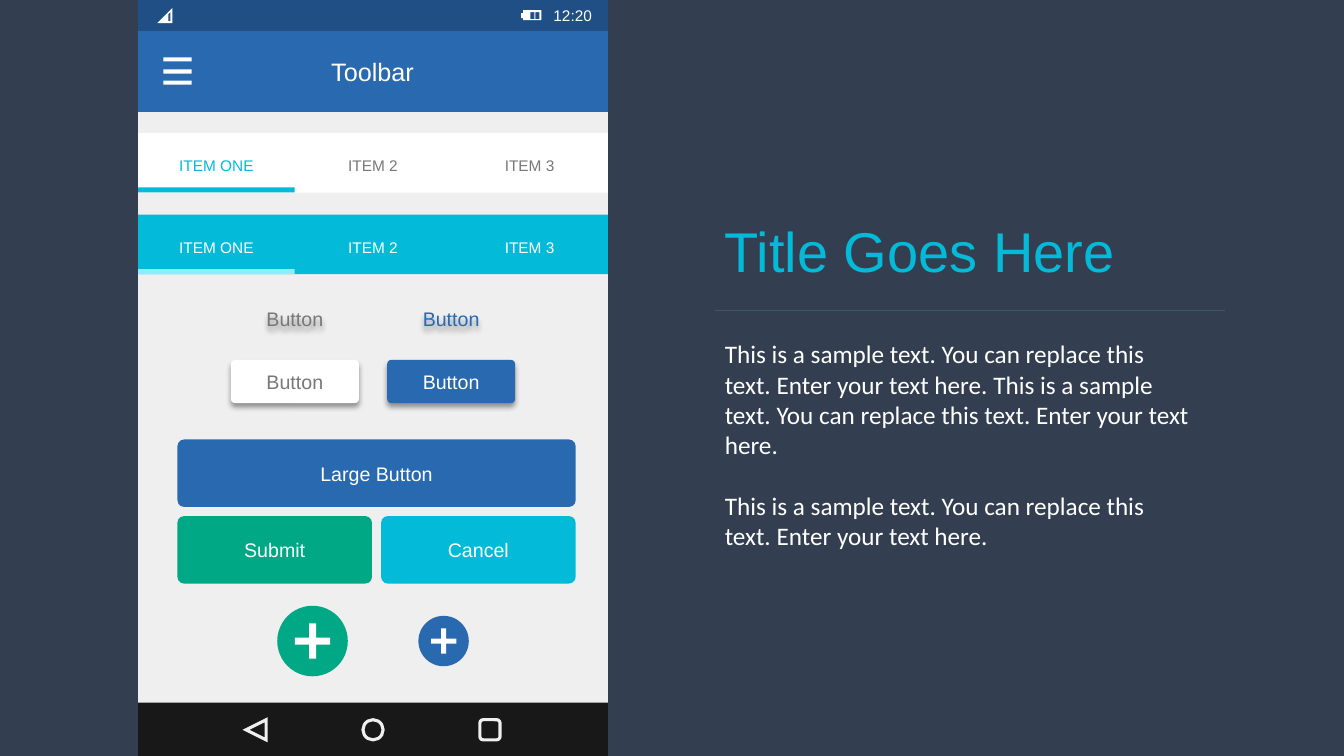
from lxml import etree
from pptx import Presentation
from pptx import util as u
from pptx.dml.color import RGBColor
from pptx.enum import shapes, text
from pptx.oxml.ns import qn

NAVY = RGBColor(0x33, 0x3F, 0x50)
RULE = RGBColor(0x44, 0x54, 0x6A)
LIGHT = RGBColor(0xEF, 0xEF, 0xEF)
WHITE = RGBColor(0xFF, 0xFF, 0xFF)
BLACK = RGBColor(0x18, 0x18, 0x18)
GRAY = RGBColor(0x78, 0x78, 0x78)
DARK_BLUE = RGBColor(0x1F, 0x4F, 0x84)
BLUE = RGBColor(0x29, 0x69, 0xB0)
CYAN = RGBColor(0x03, 0xBA, 0xD9)
PALE_CYAN = RGBColor(0x8D, 0xED, 0xFD)
GREEN = RGBColor(0x00, 0xA8, 0x85)

KIND = shapes.MSO_SHAPE
ALIGN = text.PP_ALIGN
PHONE_X, PHONE_W = 1.37, 4.66
TAB_W = PHONE_W / 3


def paint(sp, fill):
    """Give a shape a flat fill, or none, with no outline or shadow."""
    sp.shadow.inherit = False
    sp.line.fill.background()
    if fill is None:
        sp.fill.background()
    else:
        sp.fill.solid()
        sp.fill.fore_color.rgb = fill
    return sp


def add_block(s, kind, x, y, w, h, fill):
    """Add a flat preset shape."""
    box = [u.Inches(v) for v in (x, y, w, h)]
    return paint(s.shapes.add_shape(kind, *box), fill)


def add_bar(s, y, h, fill):
    """Add a band across the phone screen."""
    add_block(s, KIND.RECTANGLE, PHONE_X, y, PHONE_W, h, fill)


def add_outline(s, contours, fill):
    """Add a freeform made of closed contours, the inner ones being holes."""
    contours = [[(u.Inches(x), u.Inches(y)) for x, y in points] for points in contours]
    fb = s.shapes.build_freeform(*contours[0][0])
    for i, points in enumerate(contours):
        if i:
            fb.move_to(*points[0])
        fb.add_line_segments(points[1:], close=True)
    paint(fb.convert_to_shape(), fill)


def rectangle(x1, y1, x2, y2):
    """Return the corners of a rectangle."""
    return [(x1, y1), (x2, y1), (x2, y2), (x1, y2)]


def style_text(tf, size, color, align, font="Arial"):
    """Format every run of a text frame."""
    tf.word_wrap = True
    for p in tf.paragraphs:
        p.alignment = align
        for r in p.runs:
            r.font.size = u.Pt(size)
            r.font.name = font
            r.font.color.rgb = color


def add_text(s, words, x, y, w, h, size, color, align=ALIGN.LEFT, font="Arial"):
    """Add a text box and return its frame."""
    tf = s.shapes.add_textbox(*[u.Inches(v) for v in (x, y, w, h)]).text_frame
    tf.text = words
    style_text(tf, size, color, align, font)
    return tf


def add_drop_shadow(sp):
    """Cast a soft shadow straight down."""
    effects = sp._element.spPr.find(qn("a:effectLst"))
    shadow = etree.SubElement(effects, qn("a:outerShdw"), blurRad=str(u.Pt(4)),
                              dist=str(u.Pt(3)), dir="5400000", algn="t", rotWithShape="0")
    color = etree.SubElement(shadow, qn("a:srgbClr"), val="000000")
    etree.SubElement(color, qn("a:alpha"), val="40000")


def add_button(s, label, x, y, w, h, fill, color, raised=False):
    """Add a rounded button with a centred label."""
    sp = add_block(s, KIND.ROUNDED_RECTANGLE, x, y, w, h, fill)
    sp.adjustments[0] = 0.1
    tf = sp.text_frame
    tf.text = label
    tf.vertical_anchor = text.MSO_ANCHOR.MIDDLE
    style_text(tf, 14, color, ALIGN.CENTER)
    if raised:
        add_drop_shadow(sp)


def add_tabs(s, y, fill, active, inactive, marker):
    """Add a row of three tabs with the first one marked."""
    add_bar(s, y, 0.59, fill)
    for i, label in enumerate(("ITEM ONE", "ITEM 2", "ITEM 3")):
        add_text(s, label, PHONE_X + i * TAB_W, y + 0.18, TAB_W, 0.29, 11,
                 inactive if i else active, ALIGN.CENTER)
    add_block(s, KIND.RECTANGLE, PHONE_X, y + 0.54, TAB_W, 0.05, marker)


def add_plus_button(s, cx, cy, d, fill):
    """Add a round button with a plus sign half as wide."""
    add_block(s, KIND.OVAL, cx - d / 2, cy - d / 2, d, d, fill)
    plus = add_block(s, KIND.CROSS, cx - d / 4, cy - d / 4, d / 2, d / 2, WHITE)
    plus.adjustments[0] = 0.4


def add_status_bar(s):
    """Add the signal, battery and clock strip."""
    add_bar(s, 0, 0.31, DARK_BLUE)
    add_outline(s, [[(1.71, 0.08), (1.71, 0.23), (1.56, 0.23)],
                    [(1.69, 0.12), (1.67, 0.14), (1.67, 0.21), (1.69, 0.21)]], WHITE)
    add_outline(s, [[(5.17, 0.18), (5.17, 0.13), (5.19, 0.13), (5.19, 0.1),
                     (5.37, 0.1), (5.37, 0.2), (5.19, 0.2), (5.19, 0.18)],
                    rectangle(5.26, 0.12, 5.3, 0.19),
                    rectangle(5.31, 0.12, 5.35, 0.19)], WHITE)
    add_text(s, "12:20", 5.32, 0.01, 0.65, 0.29, 11, WHITE, ALIGN.RIGHT)


def add_toolbar(s):
    """Add the toolbar with its menu icon."""
    add_bar(s, 0.31, 0.8, BLUE)
    add_text(s, "Toolbar", 3.1, 0.51, 1.19, 0.4, 18, WHITE, ALIGN.CENTER)
    add_outline(s, [rectangle(1.62, y, 1.9, y + 0.04) for y in (0.57, 0.69, 0.8)], WHITE)


def add_navigation(s):
    """Add the bottom bar with back, home and recent icons."""
    add_bar(s, 6.97, 0.53, BLACK)
    icons = (KIND.ISOSCELES_TRIANGLE, KIND.OVAL, KIND.ROUNDED_RECTANGLE)
    for i, kind in enumerate(icons):
        sp = add_block(s, kind, 2.44 + i * 1.16, 7.14, 0.2, 0.2, None)
        sp.line.color.rgb = LIGHT
        sp.line.width = u.Pt(2.25)
        ln = sp._element.spPr.find(qn("a:ln"))
        etree.SubElement(ln, qn("a:miter"), lim="800000")
        if kind == KIND.ISOSCELES_TRIANGLE:
            sp.rotation = 270


def add_buttons(s):
    """Add all the sample buttons."""
    for x, y, fill, color in ((2.29, 2.95, None, GRAY), (3.84, 2.95, None, BLUE),
                              (2.29, 3.57, WHITE, GRAY), (3.84, 3.57, BLUE, WHITE)):
        add_button(s, "Button", x, y, 1.27, 0.43, fill, color, raised=True)
    add_button(s, "Large Button", 1.76, 4.36, 3.95, 0.67, BLUE, WHITE)
    add_button(s, "Submit", 1.76, 5.12, 1.93, 0.67, GREEN, WHITE)
    add_button(s, "Cancel", 3.78, 5.12, 1.93, 0.67, CYAN, WHITE)
    add_plus_button(s, 3.1, 6.36, 0.7, GREEN)
    add_plus_button(s, 4.4, 6.36, 0.5, BLUE)


def add_description(s):
    """Add the title, the rule and the sample text."""
    add_text(s, "Title Goes Here", 7.09, 2.1, 5.06, 0.77, 40, CYAN)
    y = u.Inches(3.08)
    rule = s.shapes.add_connector(shapes.MSO_CONNECTOR.STRAIGHT,
                                  u.Inches(7.09), y, u.Inches(12.15), y)
    rule.line.color.rgb = RULE
    rule.line.width = u.Pt(0.5)
    etree.SubElement(rule._element.spPr, qn("a:effectLst"))
    short = "This is a sample text. You can replace this text. Enter your text here."
    tf = add_text(s, f"{short} {short}\n{short}", 7.09, 3.31, 4.81, 2.52, 18, WHITE,
                  font="Calibri")
    tf.paragraphs[1].space_before = u.Pt(22)


def main():
    """Build the slide and save it."""
    prs = Presentation()
    prs.slide_width, prs.slide_height = u.Inches(13.33), u.Inches(7.5)
    s = prs.slides.add_slide(prs.slide_layouts[6])
    s.background.fill.solid()
    s.background.fill.fore_color.rgb = NAVY
    add_bar(s, 0.29, 7.21, LIGHT)
    add_status_bar(s)
    add_navigation(s)
    add_toolbar(s)
    add_tabs(s, 1.32, WHITE, CYAN, GRAY, CYAN)
    add_tabs(s, 2.13, CYAN, WHITE, WHITE, PALE_CYAN)
    add_buttons(s)
    add_description(s)
    prs.save("out.pptx")


if __name__ == "__main__":
    main()
